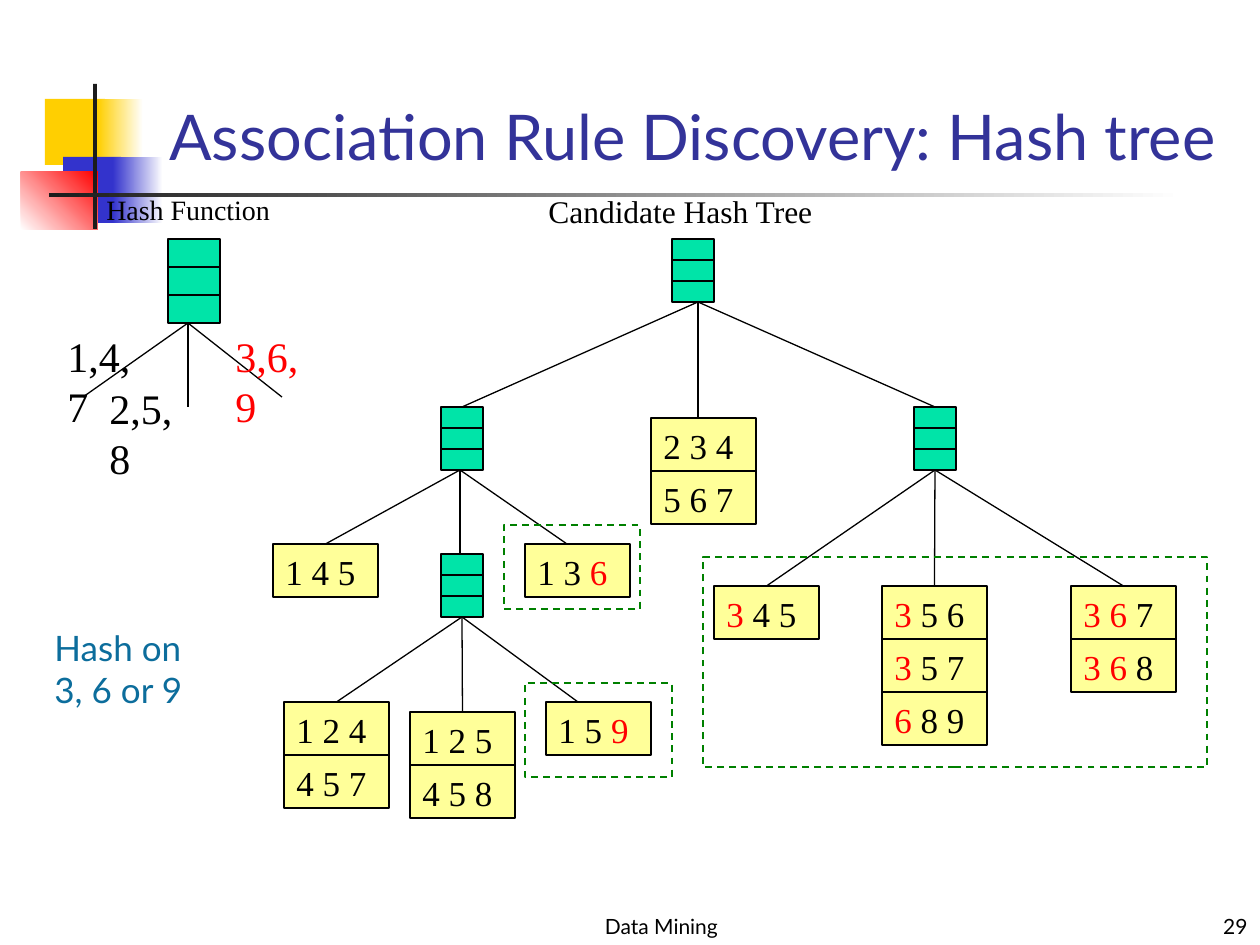
from lxml.etree import SubElement
from pptx import Presentation
from pptx.dml.color import RGBColor
from pptx.enum.dml import MSO_LINE
from pptx.enum.shapes import MSO_CONNECTOR, MSO_SHAPE
from pptx.enum.text import MSO_ANCHOR, PP_ALIGN
from pptx.oxml.ns import qn
from pptx.util import Emu, Pt

HUES = {
    "gold": "FFCF01", "blue": "3333CC", "red": "FF0000", "dark": "1C1C1C",
    "white": "FFFFFF", "black": "000000", "title": "333399", "node": "00E4A8",
    "leaf": "FFFF99", "frame": "008000", "note": "0C6D9C",
}
SERIF, SANS = "Times New Roman", "Lato"
CELL_W, CELL_H = 105, 53


def px(num):
    """Turn pixels into EMU."""
    return Emu(round(num * 914400 / 126))


def hue(name):
    """Look up a colour by name."""
    return RGBColor.from_string(HUES[name])


class Board:
    """Holds the style and the slide being drawn."""

    def __init__(self, slide):
        """Start with no joints."""
        self.slide = slide
        self.shapes = slide.shapes
        self.joints = {}

    def rect(self, x, y, w, h, fill=None, line=None, wide=0.75, dash=False):
        """Draw a rectangle, plain unless given a fill or line."""
        box = self.shapes.add_shape(MSO_SHAPE.RECTANGLE, px(x), px(y), px(w), px(h))
        box.shadow.inherit = False
        if fill is None:
            box.fill.background()
        else:
            box.fill.solid()
            box.fill.fore_color.rgb = hue(fill)
        if line is None:
            box.line.fill.background()
        else:
            box.line.color.rgb = hue(line)
            box.line.width = Pt(wide)
            if dash:
                box.line.dash_style = MSO_LINE.DASH
        return box

    def fade(self, x, y, w, h, start, end, angle=0):
        """Draw a rectangle with a linear gradient."""
        fill = self.rect(x, y, w, h).fill
        fill.gradient()
        fill.gradient_angle = angle
        for stop, name, at in zip(fill.gradient_stops, (start, end), (0, 1)):
            stop.color.rgb = hue(name)
            stop.position = at

    def line(self, x1, y1, x2, y2):
        """Draw a thin line, joined where an end meets a known joint."""
        rod = self.shapes.add_connector(
            MSO_CONNECTOR.STRAIGHT, px(x1), px(y1), px(x2), px(y2))
        rod.line.color.rgb = hue("black")
        rod.line.width = Pt(0.75)
        SubElement(rod._element.spPr, qn("a:effectLst"))
        if (x1, y1) in self.joints:
            rod.begin_connect(*self.joints[x1, y1])
        if (x2, y2) in self.joints:
            rod.end_connect(*self.joints[x2, y2])

    def fan(self, x, y, ends):
        """Draw lines from one point to many."""
        for end in ends:
            self.line(x, y, *end)

    def node(self, x, y, w, row):
        """Draw a hash node of three rows."""
        box = self.rect(x, y, w, 3 * row, "node", "black")
        self.joints[x + w // 2, y] = (box, 0)
        self.joints[x + w // 2, y + 3 * row] = (box, 2)
        for step in (1, 2):
            self.line(x, y + step * row, x + w, y + step * row)

    def words(self, box, text, size, font=SERIF, color="black",
              align=PP_ALIGN.LEFT, anchor=MSO_ANCHOR.TOP, wrap=False):
        """Fill a shape with text; parts between stars are red."""
        frame = box.text_frame
        frame.word_wrap = wrap
        frame.vertical_anchor = anchor
        para = frame.paragraphs[0]
        para.alignment = align
        para.font.size = Pt(size)
        para.font.name = font
        para.font.color.rgb = hue(color)
        for spot, part in enumerate(text.split("*")):
            if part:
                run = para.add_run()
                run.text = part
                if spot % 2:
                    run.font.color.rgb = hue("red")

    def leaf(self, x, y, *sets):
        """Stack candidate cells downward."""
        for row, text in enumerate(sets):
            box = self.rect(x, y + row * CELL_H, CELL_W, CELL_H, "leaf", "black")
            self.words(box, text, 20)
            if row == 0:
                self.joints[x + CELL_W // 2, y] = (box, 0)

    def label(self, x, y, w, h, text, size, **style):
        """Place a text box."""
        box = self.shapes.add_textbox(px(x), px(y), px(w), px(h))
        self.words(box, text, size, **style)


def main():
    """Build the slide and save it."""
    deck = Presentation()
    deck.slide_width, deck.slide_height = px(1260), px(945)
    board = Board(deck.slides.add_slide(deck.slide_layouts[6]))

    board.rect(45, 99, 60, 66, "gold")
    board.fade(98, 99, 45, 66, "gold", "white")
    board.rect(63, 157, 58, 66, "blue")
    board.fade(113, 157, 50, 66, "blue", "white")
    board.fade(21, 172, 77, 58, "white", "red", 45)
    board.rect(93, 84, 4, 145, "dark")
    board.fade(49, 193, 1134, 4, "dark", "white")
    board.label(157, 95, 1074, 84, "Association Rule Discovery: Hash tree", 36,
                font=SANS, color="title", anchor=MSO_ANCHOR.BOTTOM, wrap=True)

    for x, y in ((672, 239), (441, 407), (914, 407), (441, 554)):
        board.node(x, y, 42, 21)
    board.node(168, 239, 52, 28)

    board.leaf(651, 418, "2 3 4", "5 6 7")
    board.leaf(273, 544, "1 4 5")
    board.leaf(525, 544, "1 3 *6*")
    board.leaf(714, 586, "*3* 4 5")
    board.leaf(882, 586, "*3* 5 6", "*3* 5 7", "*6* 8 9")
    board.leaf(1071, 586, "*3 6* 7", "*3 6* 8")
    board.leaf(284, 702, "1 2 4", "4 5 7")
    board.leaf(410, 712, "1 2 5", "4 5 8")
    board.leaf(546, 702, "1 5 *9*")

    board.fan(698, 302, ((462, 407), (698, 418), (935, 407)))
    board.fan(460, 470, ((325, 544), (460, 554), (567, 544)))
    board.fan(935, 470, ((766, 586), (934, 586), (1123, 586)))
    board.fan(462, 617, ((336, 702), (462, 712), (578, 702)))
    board.fan(188, 323, ((83, 397), (188, 407), (282, 397)))

    for x, y, text in ((55, 324, "1,4,7"), (97, 376, "2,5,8"), (223, 324, "*3,6,9*")):
        board.label(x, y, 108, 63, text, 24)
    board.label(94, 186, 189, 47, "Hash Function", 16)
    board.label(536, 186, 291, 50, "Candidate Hash Tree", 18)

    for area in ((525, 683, 147, 94), (703, 557, 504, 210), (504, 525, 136, 84)):
        board.rect(*area, line="frame", wide=1, dash=True)
    board.label(42, 620, 158, 139, "Hash on 3, 6 or 9", 20,
                font=SANS, color="note", wrap=True)

    foot = {"font": SANS, "anchor": MSO_ANCHOR.BOTTOM, "wrap": True}
    board.label(998, 892, 262, 53, "29", 12, align=PP_ALIGN.RIGHT, **foot)
    board.label(462, 892, 399, 53, "Data Mining", 12, align=PP_ALIGN.CENTER, **foot)
    deck.save("out.pptx")


if __name__ == "__main__":
    main()
